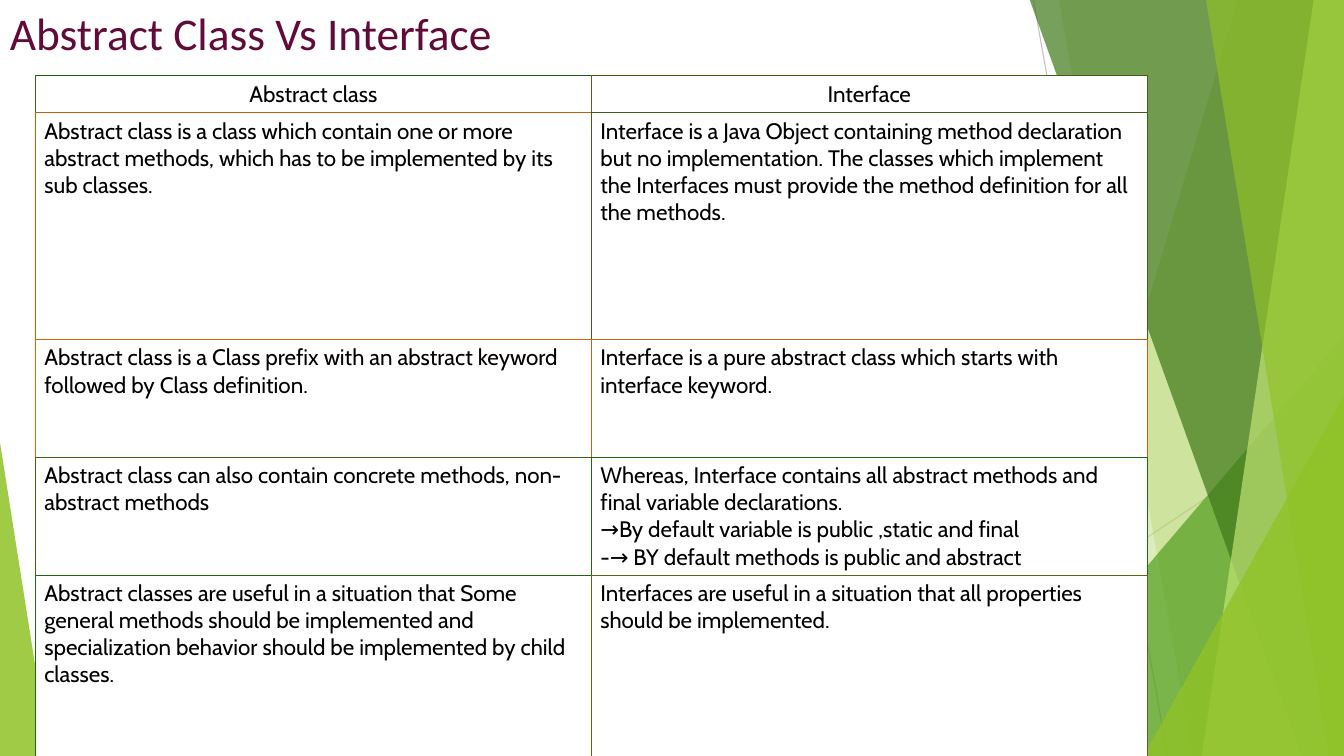
from lxml.etree import SubElement
from pptx import Presentation
from pptx.dml.color import RGBColor
from pptx.enum.shapes import MSO_CONNECTOR, MSO_SHAPE
from pptx.enum.text import MSO_ANCHOR, PP_ALIGN
from pptx.oxml.ns import qn
from pptx.util import Inches, Pt

THEME = {
    "title": {"name": "Calibri", "size": Pt(32.4), "color": "610B38"},
    "body": {"name": "Cabin", "size": Pt(16), "color": "000000"},
    "lime": "90C226",
    "leaf": "54A021",
    "moss": "3F7819",
    "pale": "C0E474",
    "paper": "FFFFFF",
    "rays": ["BFBFBF", "D9D9D9"],
    "edges": [
        ["406210 205D10 606110 C05E10", "606110 406110 406110 406110"],
        ["C05E10 C05E10 406110 E06310", "406110 406110 406110 C06610"],
        ["E06310 E06310 C06610 406310", "C06610 C06610 C06610 206910"],
        ["406310 406310 206910 206510", "206910 206910 206910 606510"],
        ["206510 206510 606510 206510", "606510 606510 606510 606510"],
    ],
}
WIDE, HIGH, TOP = 13.33, 7.5, -0.01


def style(font, look):
    font.name, font.size = look["name"], look["size"]
    font.color.rgb = RGBColor.from_string(look["color"])


def paint(shape, color, alpha):
    shape.shadow.inherit = False
    shape.line.fill.background()
    shape.fill.solid()
    shape.fill.fore_color.rgb = RGBColor.from_string(color)
    tint = shape.fill._xPr.find(qn("a:solidFill"))[0]
    SubElement(tint, qn("a:alpha"), val=str(alpha * 1000))


deck = Presentation()
deck.slide_width, deck.slide_height = Inches(WIDE), Inches(HIGH)
slide = deck.slides.add_slide(deck.slide_layouts[6])
shapes = slide.shapes

rays = [(10.25, 0, 11.58, HIGH), (WIDE, 4.03, 8.12, HIGH)]
for ends, color in zip(rays, THEME["rays"]):
    ray = shapes.add_connector(MSO_CONNECTOR.STRAIGHT, *map(Inches, ends))
    ray.line.color.rgb = RGBColor.from_string(color)
    ray.line.width = Pt(0.75)
    SubElement(ray._element.spPr, qn("a:effectLst"))

facets = [
    ("band", (12.28, 10.04), "lime", 30),
    ("band", (10.5, 11.83), "lime", 20),
    ("peak", (9.77, 3.33, 3.56, 1), "leaf", 72),
    ("band", (10.21, 12.91), "moss", 70),
    ("band", (13.03, 11.92), "pale", 70),
    ("band", (11.96, 13.18), "lime", 65),
    ("peak", (11.34, 3.93, 1.99, 1), "lime", 80),
    ("peak", (0, 4.39, 0.49, 0), "lime", 85),
]
for kind, place, color, alpha in facets:
    if kind == "band":
        upper, lower = place
        pen = shapes.build_freeform(Inches(upper), Inches(TOP))
        rest = [(WIDE, TOP), (WIDE, HIGH), (lower, HIGH)]
        pen.add_line_segments([(Inches(x), Inches(y)) for x, y in rest])
        facet = pen.convert_to_shape()
    else:
        left, top, width, apex = place
        box = map(Inches, (left, top, width, HIGH - top))
        facet = shapes.add_shape(MSO_SHAPE.ISOSCELES_TRIANGLE, *box)
        facet.adjustments[0] = apex
    paint(facet, THEME[color], alpha)

title = shapes.add_textbox(0, 0, Inches(10.14), Inches(0.75)).text_frame
for key, value in {"word_wrap": True, "vertical_anchor": MSO_ANCHOR.TOP}.items():
    setattr(title, key, value)
title.text = "Abstract Class Vs Interface"
style(title.paragraphs[0].runs[0].font, THEME["title"])

rows = [
    (0.36, "Abstract class", "Interface"),
    (2.25,
     "Abstract class is a class which contain one or more abstract methods, "
     "which has to be implemented by its sub classes.",
     "Interface is a Java Object containing method declaration but no "
     "implementation. The classes which implement the Interfaces must provide "
     "the method definition for all the methods."),
    (1.17,
     "Abstract class is a Class prefix with an abstract keyword followed by "
     "Class definition.",
     "Interface is a pure abstract class which starts with interface keyword."),
    (1.16,
     "Abstract class can also contain concrete methods, non-abstract methods",
     "Whereas, Interface contains all abstract methods and final variable "
     "declarations.\n"
     "→By default variable is public ,static and final\n"
     "-→ BY default methods is public and abstract"),
    (1.98,
     "Abstract classes are useful in a situation that Some general methods "
     "should be implemented and specialization behavior should be implemented "
     "by child classes.",
     "Interfaces are useful in a situation that all properties should be "
     "implemented."),
]
margins = {
    "margin_left": Inches(0.09),
    "margin_right": Inches(0.09),
    "margin_top": Inches(0.05),
    "margin_bottom": Inches(0.05),
}
frame = map(Inches, (0.35, 0.75, 11.03, 6.92))
table = shapes.add_table(len(rows), 2, *frame).table
for key in ("first_row", "horz_banding"):
    setattr(table, key, False)

for row, (height, *texts) in enumerate(rows):
    table.rows[row].height = Inches(height)
    for col, text in enumerate(texts):
        cell = table.cell(row, col)
        for key, value in margins.items():
            setattr(cell, key, value)
        props = cell._tc.get_or_add_tcPr()
        for side, color in zip("LTRB", THEME["edges"][row][col].split()):
            edge = SubElement(props, qn("a:ln" + side), w=str(Pt(0.6)))
            fill = SubElement(edge, qn("a:solidFill"))
            SubElement(fill, qn("a:srgbClr"), val=color)
        props[:] = sorted(props, key=lambda edge: "LRTB".index(edge.tag[-1]))
        cell.fill.solid()
        cell.fill.fore_color.rgb = RGBColor.from_string(THEME["paper"])
        cell.text = text
        for para in cell.text_frame.paragraphs:
            para.alignment = PP_ALIGN.LEFT if row else PP_ALIGN.CENTER
            style(para.runs[0].font, THEME["body"])

deck.save("out.pptx")
